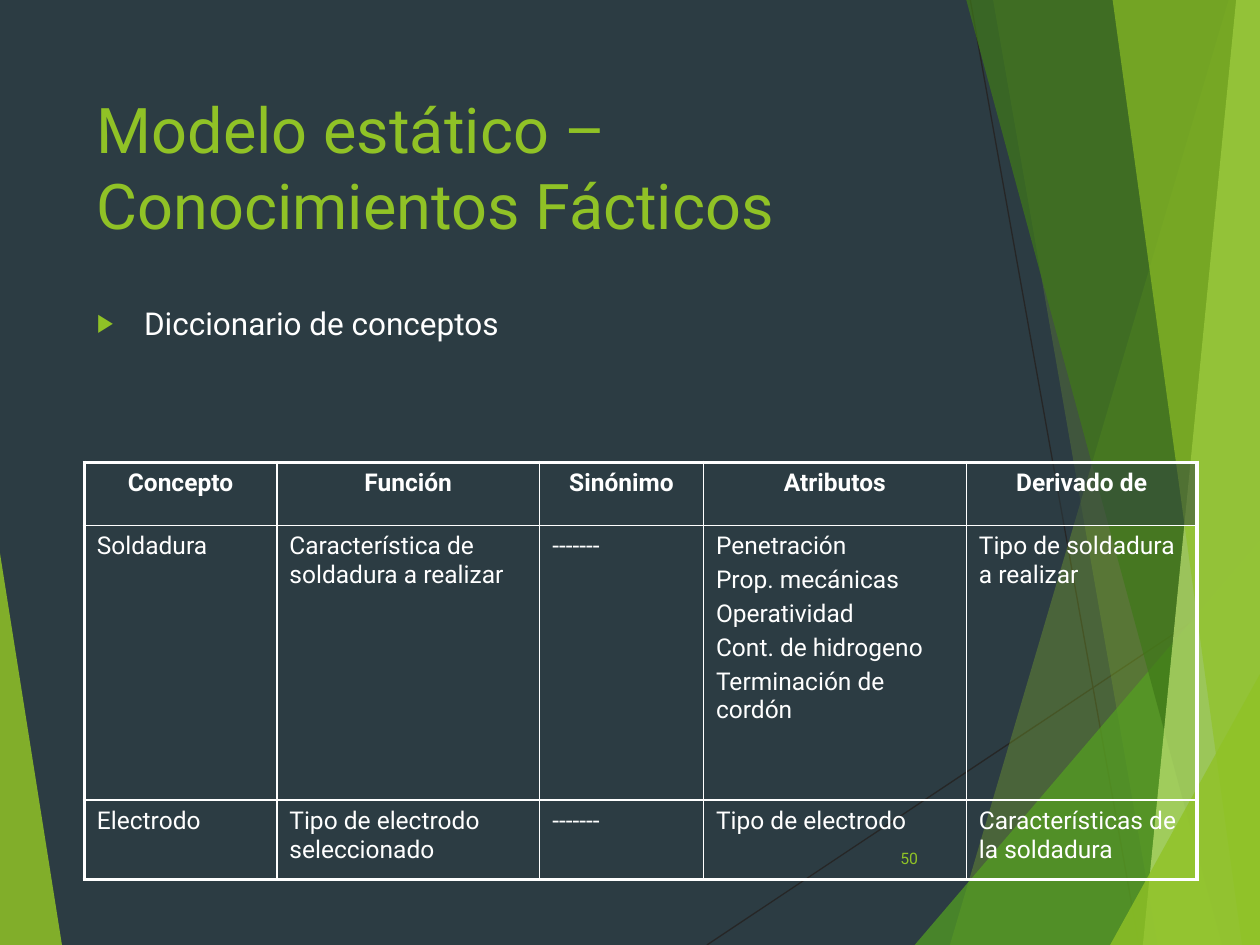
from pptx import Presentation
from pptx.util import Cm, Pt
from pptx.dml.color import RGBColor
from pptx.enum.shapes import MSO_CONNECTOR
from pptx.enum.text import MSO_ANCHOR, MSO_AUTO_SIZE, PP_ALIGN
from pptx.oxml import parse_xml
from pptx.oxml.ns import nsdecls, qn
from lxml.etree import SubElement

SLATE = RGBColor(0x2C, 0x3C, 0x43)
LIME = RGBColor(0x90, 0xC2, 0x26)
GREEN = RGBColor(0x54, 0xA0, 0x21)
MOSS = RGBColor(0x3F, 0x78, 0x19)
PALE = RGBColor(0xC0, 0xE4, 0x74)
WHITE = RGBColor(0xFF, 0xFF, 0xFF)
DARK = RGBColor(0x26, 0x26, 0x26)
FONT = "Roboto"
WIDE, HIGH = 25.4, 19.05

RAYS = [((14.25, HIGH), (25.43, 11.6)), ((19.56, 0), (22.96, HIGH))]
SHARDS = [
    (LIME, 85, [(0, 11.15), (1.25, HIGH), (0, HIGH)]),
    (LIME, 30, [(24.77, 0), (19.15, HIGH), (WIDE, HIGH), (WIDE, 0)]),
    (LIME, 20, [(20.02, 0), (23.34, HIGH), (WIDE, HIGH), (WIDE, 0)]),
    (GREEN, 72, [(18.44, HIGH), (WIDE, 10.9), (WIDE, HIGH)]),
    (MOSS, 70, [(19.48, 0), (24.64, HIGH), (WIDE, HIGH), (WIDE, 0)]),
    (PALE, 70, [(24.92, 0), (23.04, HIGH), (WIDE, HIGH), (WIDE, 0)]),
    (LIME, 65, [(22.43, 0), (25.04, HIGH), (WIDE, HIGH), (WIDE, 0)]),
    (LIME, 80, [(22.38, HIGH), (WIDE, 13.59), (WIDE, HIGH)]),
]
COLS = [3.88, 5.3, 3.3, 5.3, 4.65]
ROWS = [1.27, 5.54, 1.6]
TERMS = [
    ["Concepto", "Función", "Sinónimo", "Atributos", "Derivado de"],
    ["Soldadura", "Característica de soldadura a realizar", "-------",
     "Penetración\nProp. mecánicas\nOperatividad\nCont. de hidrogeno\nTerminación de cordón",
     "Tipo de soldadura a realizar"],
    ["Electrodo", "Tipo de electrodo seleccionado", "-------",
     "Tipo de electrodo", "Características de la soldadura"],
]


def style(frame, size, color, bold=False, align=PP_ALIGN.LEFT):
    for para in frame.paragraphs:
        para.alignment = align
        for run in para.runs:
            font = run.font
            font.name, font.size, font.bold = FONT, Pt(size), bold
            font.color.rgb = color


def place(shape, box):
    shape.left, shape.top, shape.width, shape.height = map(Cm, box)


def tint(fill, color, alpha):
    fill.solid()
    fill.fore_color.rgb = color


def fade(node, alpha):
    color = next(node.iter(qn("a:srgbClr")))
    SubElement(color, qn("a:alpha")).set("val", str(alpha * 1000))


def draw_backdrop(slide, box):
    left, top = box[:2]
    for start, end in RAYS:
        ray = slide.shapes.add_connector(
            MSO_CONNECTOR.STRAIGHT, Cm(left + start[0]), Cm(top + start[1]),
            Cm(left + end[0]), Cm(top + end[1]))
        ray.line.color.rgb = DARK
        ray.line.width = Pt(0.75)
        SubElement(ray.element.spPr, qn("a:effectLst"))
    for color, alpha, points in SHARDS:
        spots = [(Cm(left + x), Cm(top + y)) for x, y in points]
        pen = slide.shapes.build_freeform(*spots[0])
        pen.add_line_segments(spots[1:], close=True)
        shard = pen.convert_to_shape()
        shard.shadow.inherit = False
        shard.line.fill.background()
        shard.fill.solid()
        shard.fill.fore_color.rgb = color
        fade(shard.element.spPr, alpha)


def set_text(slide, holder, box, text, size, color):
    slide.shapes.element.append(holder.element)
    place(holder, box)
    frame = holder.text_frame
    frame.text = text
    frame.auto_size = MSO_AUTO_SIZE.NONE
    frame.vertical_anchor = MSO_ANCHOR.TOP
    style(frame, size, color)


def add_bullet(para):
    para.space_before = Pt(10)
    props = para._p.get_or_add_pPr()
    props.set("marL", str(Cm(0.95)))
    props.set("indent", str(-Cm(0.95)))
    tone = SubElement(props, qn("a:buClr"))
    SubElement(tone, qn("a:srgbClr")).set("val", str(LIME))
    SubElement(props, qn("a:buSzPct")).set("val", "80000")
    SubElement(props, qn("a:buFont")).set("typeface", "Arial")
    SubElement(props, qn("a:buChar")).set("char", "▶")


def set_edges(cell, row, col):
    outer = {"L": col == 0, "R": col == len(COLS) - 1,
             "T": row == 0, "B": row == len(ROWS) - 1}
    props = cell._tc.get_or_add_tcPr()
    for spot, (side, thick) in enumerate(outer.items()):
        width = Pt(2.25 if thick else 1)
        props.insert(spot, parse_xml(
            f'<a:ln{side} {nsdecls("a")} w="{width}"><a:solidFill>'
            f'<a:srgbClr val="{WHITE}"/></a:solidFill></a:ln{side}>'))


def draw_table(slide, box):
    table = slide.shapes.add_table(len(ROWS), len(COLS), *map(Cm, box)).table
    table.first_row = table.horz_banding = False
    for col, width in zip(table.columns, COLS):
        col.width = Cm(width)
    for row, height in zip(table.rows, ROWS):
        row.height = Cm(height)
    for row, texts in enumerate(TERMS):
        head = row == 0
        for col, text in enumerate(texts):
            cell = table.cell(row, col)
            frame = cell.text_frame
            frame.text = text
            style(frame, 14, WHITE, head, PP_ALIGN.CENTER if head else PP_ALIGN.LEFT)
            for para in frame.paragraphs[1:]:
                para.space_before = Pt(2.8)
            if head:
                cell.fill.solid()
                cell.fill.fore_color.rgb = SLATE
                fade(cell._tc.tcPr, 50)
            else:
                cell.fill.background()
            set_edges(cell, row, col)


def draw_number(slide, box):
    frame = slide.shapes.add_textbox(*map(Cm, box)).text_frame
    frame.word_wrap = True
    frame.vertical_anchor = MSO_ANCHOR.MIDDLE
    frame.text = "50"
    style(frame, 9, LIME)


def main():
    deck = Presentation()
    deck.slide_width, deck.slide_height = Cm(WIDE), Cm(HIGH)
    slide = deck.slides.add_slide(deck.slide_layouts[1])
    slide.background.fill.solid()
    slide.background.fill.fore_color.rgb = SLATE
    title, body = slide.placeholders
    draw_backdrop(slide, (0, 0, WIDE, HIGH))
    set_text(slide, title, (1.7, 1.7, 17.63, 3.66),
             "Modelo estático – Conocimientos Fácticos", 36, LIME)
    set_text(slide, body, (1.7, 6, 17.63, 10.77), "Diccionario de conceptos", 18, WHITE)
    add_bullet(body.text_frame.paragraphs[0])
    draw_table(slide, (1.7, 9.32, sum(COLS), sum(ROWS)))
    draw_number(slide, (17.9, 16.8, 1.42, 1.02))
    deck.save("out.pptx")


if __name__ == "__main__":
    main()
